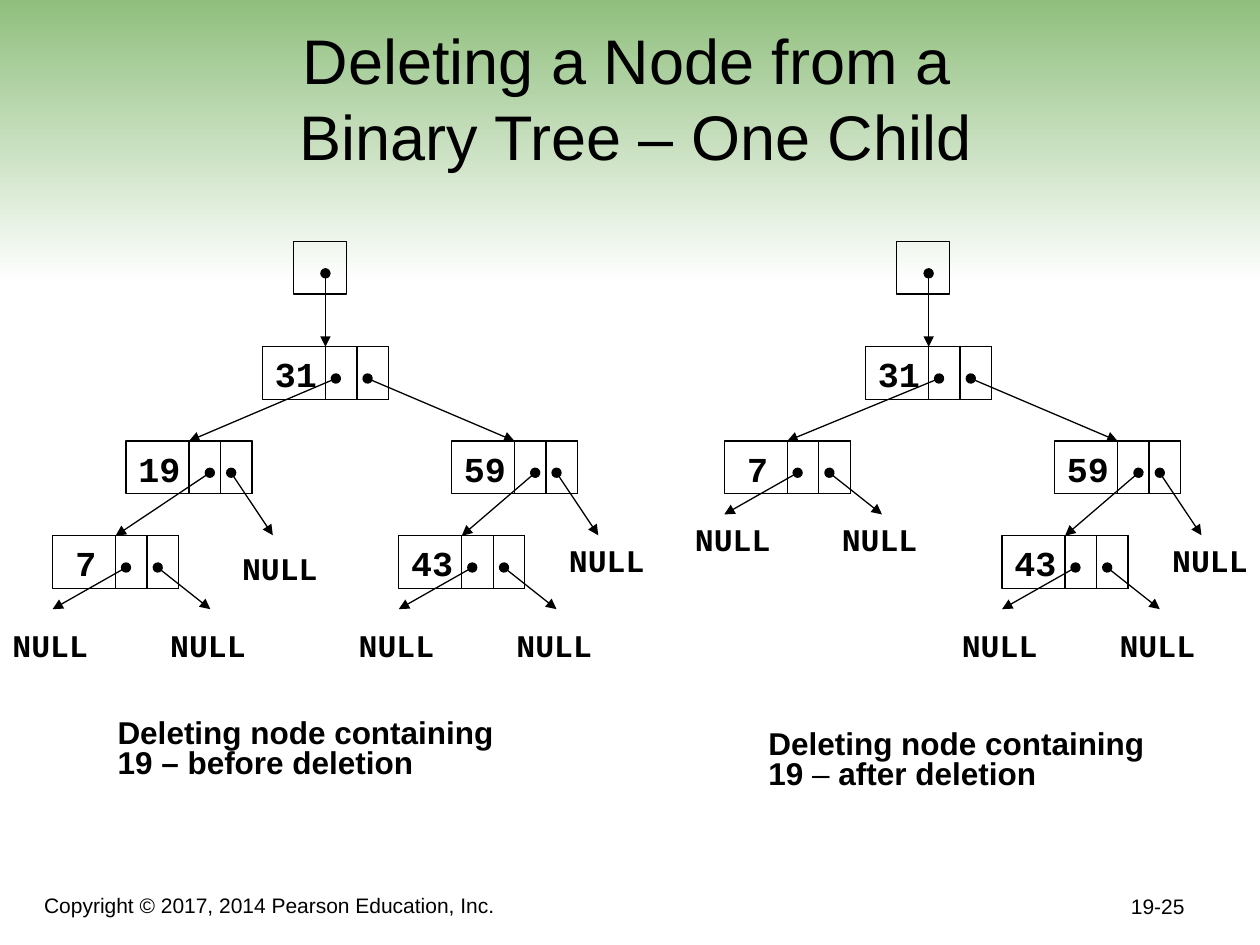
"""Build the slide on deleting a binary tree node that has one child."""
from dataclasses import dataclass
from typing import Optional, Union

from lxml.etree import SubElement
from pptx import Presentation
from pptx.dml.color import RGBColor
from pptx.enum.shapes import MSO_CONNECTOR, MSO_SHAPE
from pptx.enum.text import MSO_ANCHOR, MSO_AUTO_SIZE, PP_ALIGN
from pptx.oxml.ns import qn
from pptx.shapes.autoshape import Shape
from pptx.shapes.connector import Connector
from pptx.slide import Slide
from pptx.util import Cm, Pt

COLORS = {"ink": "000000", "green": "8CBD79", "white": "FFFFFF"}
SANS, MONO = "Arial", "Courier New"
NODE_WIDTH, NODE_HEIGHT = 2.54, 1.06
CELL_WIDTH = NODE_WIDTH / 4
DOT_DROP = 0.64
ROOT_TOP, CHILD_TOP, GRANDCHILD_TOP = 6.99, 8.89, 10.8
ANCHOR_TOP, ANCHOR_RISE = 4.87, 1.48
AFTER_SHIFT = 12.16


@dataclass
class Null:
    """Arrow tip and label position of an empty pointer, relative to its node."""
    tip_x: float
    tip_y: float
    label_x: float
    label_y: float


@dataclass
class Node:
    """Tree node with its two pointers; first_dot and second_dot are offsets."""
    value: str
    left: float
    top: float
    first: Union["Node", Null]
    second: Union["Node", Null]
    first_dot: float = 1.48
    second_dot: float = 2.12


@dataclass
class Caption:
    """Explanatory text as (words, bold) runs."""
    left: float
    top: float
    width: float
    runs: list[tuple[str, bool]]


def rgb(name: str) -> RGBColor:
    """Look up a palette colour."""
    return RGBColor.from_string(COLORS[name])


def leaf(value: str, left: float, top: float, label_left: float = -1.06,
         label_drop: float = 1.69) -> Node:
    """Make a node whose two pointers are empty."""
    return Node(value, left, top, Null(0, 1.48, label_left, label_drop),
                Null(3.18, 1.48, 2.12, label_drop))


def tree(shift: float, smaller: Node) -> Node:
    """Make the tree rooted at 31 around the given smaller child."""
    larger = Node("59", 9.1 + shift, CHILD_TOP,
                  leaf("43", 8.04 + shift, GRANDCHILD_TOP),
                  Null(2.96, 1.9, 2.12, 1.9), first_dot=1.69)
    return Node("31", 5.29 + shift, ROOT_TOP, smaller, larger)


def add_text(slide: Slide, runs: list[tuple[str, bool]], left: float, top: float,
             width: float, height: float, size: int, font: str = SANS,
             wrap: bool = True, anchor: MSO_ANCHOR = MSO_ANCHOR.TOP) -> Shape:
    """Add a one-paragraph text box."""
    box = slide.shapes.add_textbox(Cm(left), Cm(top), Cm(width), Cm(height))
    frame = box.text_frame
    frame.word_wrap = wrap
    frame.vertical_anchor = anchor
    paragraph = frame.paragraphs[0]
    paragraph.font.size = Pt(size)
    paragraph.font.name = font
    paragraph.font.color.rgb = rgb("ink")
    for words, bold in runs:
        run = paragraph.add_run()
        run.text = words
        run.font.bold = bold
    return box


def add_box(slide: Slide, left: float, top: float, width: float) -> Shape:
    """Add an outlined, unfilled cell."""
    box = slide.shapes.add_shape(MSO_SHAPE.RECTANGLE, Cm(left), Cm(top),
                                 Cm(width), Cm(NODE_HEIGHT))
    box.shadow.inherit = False
    box.fill.background()
    box.line.color.rgb = rgb("ink")
    box.line.width = Pt(0.75)
    return box


def add_pointer(slide: Slide, start: tuple[float, float], end: tuple[float, float],
                target: Optional[Shape] = None) -> Connector:
    """Add a dotted-start arrow, joined to the target's top when there is one."""
    arrow = slide.shapes.add_connector(MSO_CONNECTOR.STRAIGHT,
                                       *map(Cm, start), *map(Cm, end))
    if target is not None:
        arrow.end_connect(target, 0)
    arrow.line.color.rgb = rgb("ink")
    arrow.line.width = Pt(0.75)
    line = arrow.line._get_or_add_ln()
    SubElement(line, qn("a:headEnd"), type="oval")
    SubElement(line, qn("a:tailEnd"), type="triangle")
    SubElement(arrow._element.spPr, qn("a:effectLst"))
    return arrow


def draw_node(slide: Slide, node: Node) -> Shape:
    """Draw a node and everything below it, returning its outer box."""
    outer = add_box(slide, node.left, node.top, NODE_WIDTH)
    for cell in (2, 3):
        add_box(slide, node.left + cell * CELL_WIDTH, node.top, CELL_WIDTH)
    indent = 0.21 if len(node.value) == 1 else 0
    add_text(slide, [(node.value, True)], node.left + indent, node.top,
             1.35 - 2 * indent, 1.11, 20, MONO, wrap=False)
    for dot, child in ((node.first_dot, node.first), (node.second_dot, node.second)):
        start = (node.left + dot, node.top + DOT_DROP)
        if isinstance(child, Node):
            target = draw_node(slide, child)
            add_pointer(slide, start, (child.left + NODE_WIDTH / 2, child.top), target)
        else:
            add_pointer(slide, start, (node.left + child.tip_x, node.top + child.tip_y))
            add_text(slide, [("NULL", True)], node.left + child.label_x,
                     node.top + child.label_y, 2.03, 1.02, 18, MONO, wrap=False)
    return outer


def draw_tree(slide: Slide, root: Node) -> None:
    """Draw a whole tree with the pointer to its root."""
    add_box(slide, root.left + 0.63, ANCHOR_TOP, NODE_HEIGHT)
    middle = root.left + NODE_WIDTH / 2
    add_pointer(slide, (middle, root.top - ANCHOR_RISE), (middle, root.top),
                draw_node(slide, root))


def add_band(slide: Slide) -> None:
    """Add the green gradient behind the title."""
    band = slide.shapes.add_shape(MSO_SHAPE.RECTANGLE, 0, Cm(-0.2), Cm(25.4), Cm(5.92))
    band.shadow.inherit = False
    band.line.fill.background()
    band.fill.gradient()
    band.fill.gradient_angle = 270
    for stop, position, name in zip(band.fill.gradient_stops, (0, 1), ("green", "white")):
        stop.position = position
        stop.color.rgb = rgb(name)
    slide.shapes._spTree.insert(2, band._element)


def set_title(slide: Slide) -> None:
    """Fill and place the title."""
    title = slide.shapes.title
    title.left, title.top, title.width, title.height = map(Cm, (0.85, 0.85, 23.92, 2.76))
    frame = title.text_frame
    frame.text = "Deleting a Node from a \vBinary Tree – One Child"
    frame.auto_size = MSO_AUTO_SIZE.NONE
    frame.vertical_anchor = MSO_ANCHOR.BOTTOM
    paragraph = frame.paragraphs[0]
    paragraph.alignment = PP_ALIGN.CENTER
    paragraph.font.size = Pt(36)
    paragraph.font.name = SANS
    paragraph.font.color.rgb = rgb("ink")


def main() -> None:
    """Build and save the slide."""
    presentation = Presentation()
    presentation.slide_width, presentation.slide_height = Cm(25.4), Cm(19.05)
    slide = presentation.slides.add_slide(presentation.slide_layouts[5])
    add_band(slide)
    set_title(slide)
    doomed = Node("19", 2.54, CHILD_TOP, leaf("7", 1.06, GRANDCHILD_TOP),
                  Null(2.96, 1.9, 2.09, 2.06), first_dot=1.69)
    draw_tree(slide, tree(0, doomed))
    draw_tree(slide, tree(AFTER_SHIFT, leaf("7", 14.6, CHILD_TOP, -0.84, 1.47)))
    captions = [
        Caption(2.12, 14.39, 8.26, [("Deleting node containing 19 – before deletion", True)]),
        Caption(15.24, 14.61, 8.47, [("Deleting node containing 19", True), (" – ", False),
                                     ("after deletion", True)]),
    ]
    for caption in captions:
        box = add_text(slide, caption.runs, caption.left, caption.top, caption.width, 1.48, 18)
        box.text_frame.paragraphs[0].line_spacing = 0.8
    add_text(slide, [("Copyright © 2017, 2014 Pearson Education, Inc.", False)],
             0.64, 17.57, 17.15, 1.06, 12, anchor=MSO_ANCHOR.BOTTOM)
    number = add_text(slide, [("19-25", False)], 18.84, 17.38, 5.29, 1.27, 12,
                      anchor=MSO_ANCHOR.BOTTOM)
    number.text_frame.paragraphs[0].alignment = PP_ALIGN.RIGHT
    presentation.save("out.pptx")


if __name__ == "__main__":
    main()
